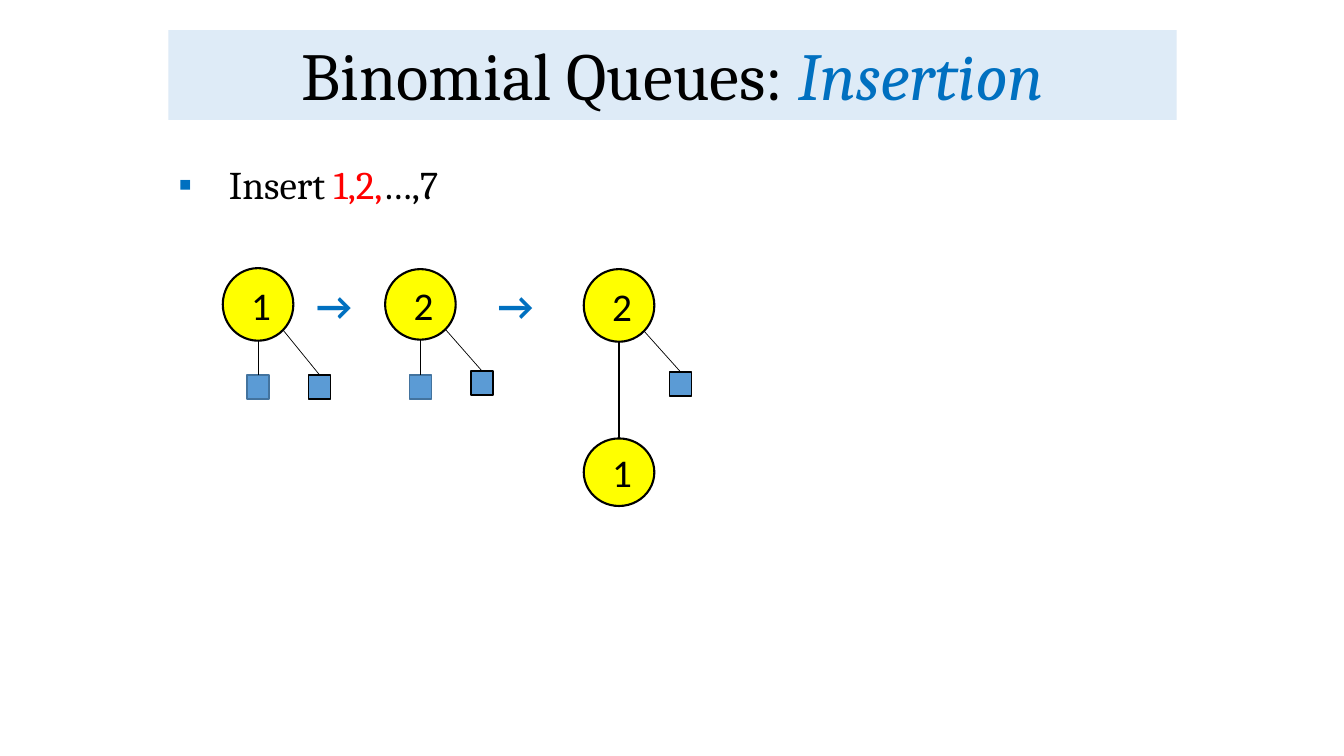
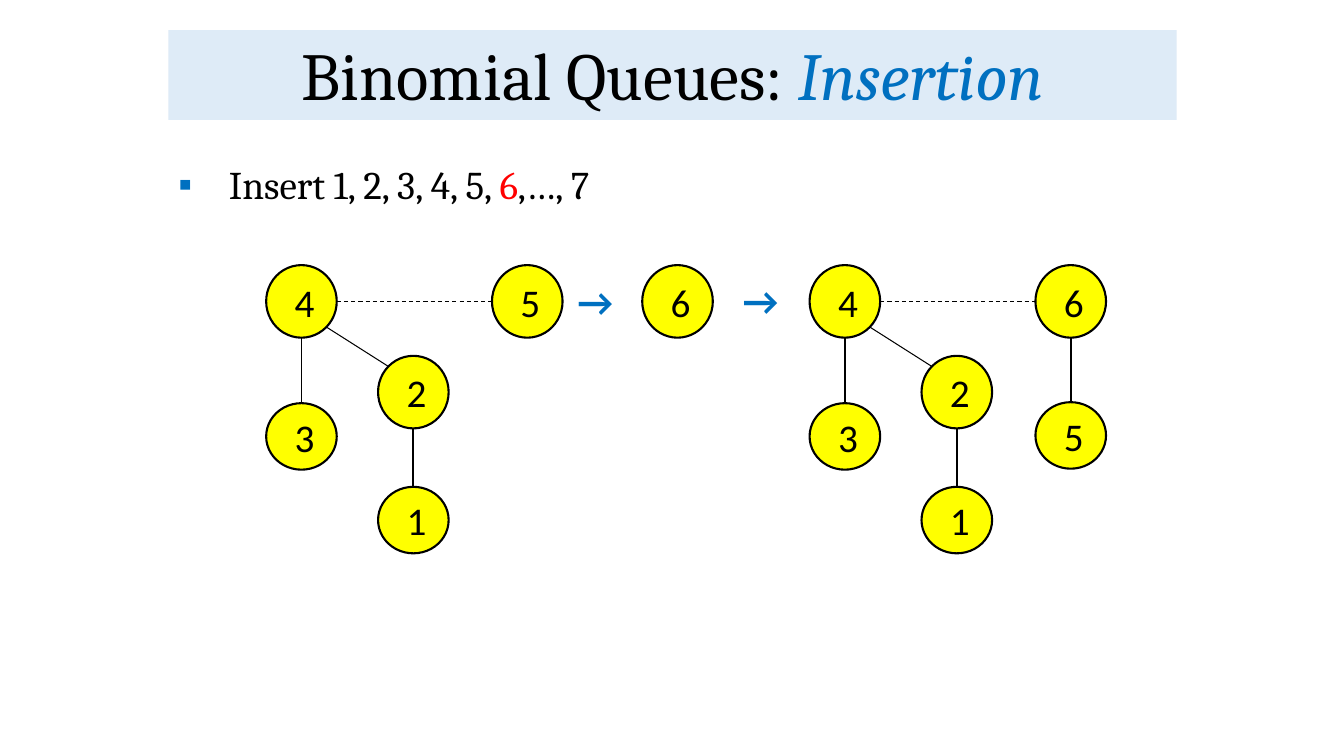
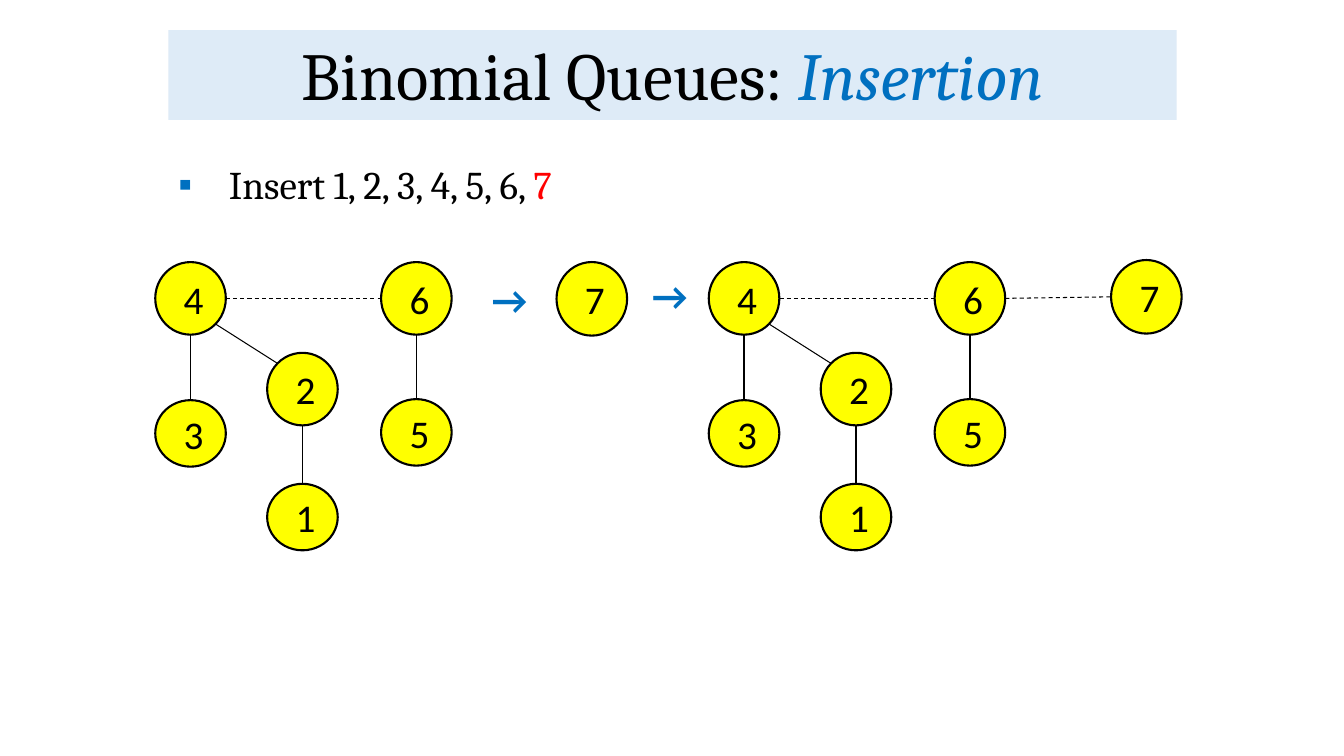
from dataclasses import dataclass
from math import sqrt

from lxml.etree import SubElement
from pptx import Presentation
from pptx.dml.color import RGBColor
from pptx.enum.dml import MSO_LINE
from pptx.enum.shapes import MSO_CONNECTOR, MSO_SHAPE
from pptx.enum.text import MSO_ANCHOR, MSO_AUTO_SIZE, PP_ALIGN
from pptx.oxml.ns import qn
from pptx.util import Inches, Pt


@dataclass(frozen=True)
class Theme:
    black: str = "000000"
    blue: str = "0070C0"
    red: str = "FF0000"
    band: str = "DEEBF7"
    disc: str = "FFFF00"
    leaf: str = "5B9BD5"
    edge: str = "43739E"
    serif: str = "Cambria"
    sans: str = "Calibri"
    title: int = 48
    body: int = 28
    outline: float = 1.5
    stem: float = 1.25
    thin: float = 0.75
    hair: float = 0.5


THEME = Theme()
WIDE = 0.7
SIDE = 0.22
TALL = 0.24


@dataclass(frozen=True)
class Node:
    key: str
    x: float
    y: float
    high: float = 0.72

    @property
    def mid(self) -> tuple[float, float]:
        return self.x + WIDE / 2, self.y + self.high / 2

    def rim(self, dx: int, dy: int) -> tuple[float, float]:
        part = 1 / sqrt(dx * dx + dy * dy)
        x, y = self.mid
        return x + dx * part * WIDE / 2, y + dy * part * self.high / 2


@dataclass(frozen=True)
class Part:
    text: str
    color: str = THEME.black
    italic: bool = False


def tint(code: str) -> RGBColor:
    return RGBColor.from_string(code)


def say(para, text: str, *, size: int = THEME.body, font: str = THEME.sans,
        color: str = THEME.black, bold: bool = False, italic: bool = False) -> None:
    run = para.add_run()
    run.text = text
    run.font.size = Pt(size)
    run.font.name = font
    run.font.color.rgb = tint(color)
    run.font.bold = bold
    run.font.italic = italic


def place(shape, x: float, y: float, wide: float, high: float) -> None:
    shape.left, shape.top = Inches(x), Inches(y)
    shape.width, shape.height = Inches(wide), Inches(high)


def form(slide, kind, x: float, y: float, wide: float, high: float,
         fill: str, line: str, weight: float):
    shape = slide.shapes.add_shape(kind, Inches(x), Inches(y), Inches(wide), Inches(high))
    shape.shadow.inherit = False
    shape.fill.solid()
    shape.fill.fore_color.rgb = tint(fill)
    shape.line.color.rgb = tint(line)
    shape.line.width = Pt(weight)
    return shape


def link(slide, start: tuple[float, float], end: tuple[float, float],
         weight: float, dash: bool = False):
    line = slide.shapes.add_connector(
        MSO_CONNECTOR.STRAIGHT, *(Inches(value) for value in (*start, *end)))
    line.line.color.rgb = tint(THEME.black)
    line.line.width = Pt(weight)
    if dash:
        line.line.dash_style = MSO_LINE.DASH
    SubElement(line._element.spPr, qn("a:effectLst"))
    return line


def disc(slide, node: Node) -> None:
    shape = form(slide, MSO_SHAPE.OVAL, node.x, node.y, WIDE, node.high,
                 THEME.disc, THEME.black, THEME.outline)
    frame = shape.text_frame
    frame.word_wrap = False
    frame.vertical_anchor = MSO_ANCHOR.MIDDLE
    frame.margin_left = Inches(0.16)
    para = frame.paragraphs[0]
    para.alignment = PP_ALIGN.CENTER
    say(para, node.key)


def stem(slide, top: Node, low: Node) -> None:
    link(slide, top.rim(0, 1), low.rim(0, -1), THEME.stem)


def leaf(slide, node: Node, x: float, y: float, line: str, dx: int) -> None:
    box = form(slide, MSO_SHAPE.RECTANGLE, x, y, SIDE, TALL, THEME.leaf, line, 1)
    edge = link(slide, node.rim(dx, 1), (x + SIDE / 2, y), THEME.hair)
    edge.end_connect(box, 0)


def left_leaf(slide, node: Node) -> None:
    leaf(slide, node, node.x + (WIDE - SIDE) / 2, 3.72, THEME.edge, 0)


def right_leaf(slide, node: Node, y: float) -> None:
    leaf(slide, node, node.x + 0.85, y, THEME.black, 1)


def pair(slide, top: Node, low: Node) -> Node:
    disc(slide, top)
    disc(slide, low)
    stem(slide, top, low)
    return top


def duo(slide, x: float, y: float) -> Node:
    return pair(slide, Node("6", x, y), Node("5", x, y + 1.36, 0.66))


def quad(slide, x: float, y: float) -> Node:
    root = pair(slide, Node("4", x, y), Node("3", x, y + 1.37, 0.66))
    child = pair(slide, Node("2", x + 1.11, y + 0.9),
                 Node("1", x + 1.11, y + 2.2, 0.66))
    link(slide, root.rim(1, 1), child.rim(-1, -1), THEME.thin)
    return root


def solo(slide, node: Node) -> Node:
    disc(slide, node)
    return node


def chain(slide, *roots: Node) -> None:
    for left, right in zip(roots, roots[1:]):
        link(slide, left.rim(1, 0), right.rim(-1, 0), THEME.thin, dash=True)


def arrow(slide, x: float, y: float) -> None:
    box = slide.shapes.add_textbox(Inches(x), Inches(y), Inches(0.55), Inches(0.57))
    box.text_frame.word_wrap = True
    box.text_frame.auto_size = MSO_AUTO_SIZE.SHAPE_TO_FIT_TEXT
    say(box.text_frame.paragraphs[0], "→", color=THEME.blue, bold=True)


def bullet(para) -> None:
    props = para._p.get_or_add_pPr()
    props.set("marL", str(Inches(0.5)))
    props.set("indent", str(-Inches(0.5)))
    color = SubElement(props, qn("a:buClr"))
    SubElement(color, qn("a:srgbClr"), val=THEME.blue)
    SubElement(props, qn("a:buFont"), typeface="Arial")
    SubElement(props, qn("a:buChar"), char="▪")


def fill_text(holder, anchor, align, space: float, size: int, parts: list[Part]):
    frame = holder.text_frame
    frame.word_wrap = True
    frame.auto_size = MSO_AUTO_SIZE.NONE
    frame.vertical_anchor = anchor
    para = frame.paragraphs[0]
    para.alignment = align
    para.line_spacing = space
    para.space_before = Pt(0)
    for part in parts:
        say(para, part.text, size=size, font=THEME.serif,
            color=part.color, italic=part.italic)
    return para


def start(deck, *parts: Part):
    slide = deck.slides.add_slide(deck.slide_layouts[0])
    title, body = slide.shapes.title, slide.placeholders[1]
    place(title, 1.67, 0.3, 10, 0.89)
    title.fill.solid()
    title.fill.fore_color.rgb = tint(THEME.band)
    fill_text(title, MSO_ANCHOR.BOTTOM, PP_ALIGN.CENTER, 0.9, THEME.title,
              [Part("Binomial Queues: "), Part("Insertion", THEME.blue, True)])
    place(body, 1.67, 1.54, 10, 4.82)
    para = fill_text(body, MSO_ANCHOR.TOP, PP_ALIGN.LEFT, 1.0, THEME.body, list(parts))
    bullet(para)
    return slide


def first(deck) -> None:
    slide = start(deck, Part("Insert "), Part("1,2,", THEME.red), Part("…,7"))
    one = solo(slide, Node("1", 2.21, 2.66))
    two = solo(slide, Node("2", 3.82, 2.67, 0.7))
    root = pair(slide, Node("2", 5.79, 2.67), Node("1", 5.79, 4.35, 0.67))
    for node in (one, two):
        left_leaf(slide, node)
    for node, y in ((one, 3.72), (two, 3.68), (root, 3.69)):
        right_leaf(slide, node, y)
    for x in (3.04, 4.84):
        arrow(slide, x, 2.74)


def second(deck) -> None:
    slide = start(deck, Part("Insert 1, 2, 3, 4, 5, "), Part("6", THEME.red),
                  Part(",…, 7"))
    row = 2.63
    chain(slide, quad(slide, 2.64, row), solo(slide, Node("5", 4.88, row)))
    arrow(slide, 5.63, 2.7)
    solo(slide, Node("6", 6.37, row))
    arrow(slide, 7.27, 2.69)
    chain(slide, quad(slide, 8.03, row), duo(slide, 10.27, row))


def third(deck) -> None:
    slide = start(deck, Part("Insert 1, 2, 3, 4, 5, 6, "), Part("7", THEME.red))
    row = 2.6
    chain(slide, quad(slide, 1.54, row), duo(slide, 3.78, row))
    arrow(slide, 4.78, 2.68)
    solo(slide, Node("7", 5.52, row, 0.73))
    arrow(slide, 6.37, 2.64)
    chain(slide, quad(slide, 7.03, row), duo(slide, 9.27, row),
          solo(slide, Node("7", 11.02, 2.58, 0.73)))


def main() -> None:
    deck = Presentation()
    deck.slide_width, deck.slide_height = Inches(13.33), Inches(7.5)
    for build in (first, second, third):
        build(deck)
    deck.save("out.pptx")


if __name__ == "__main__":
    main()
